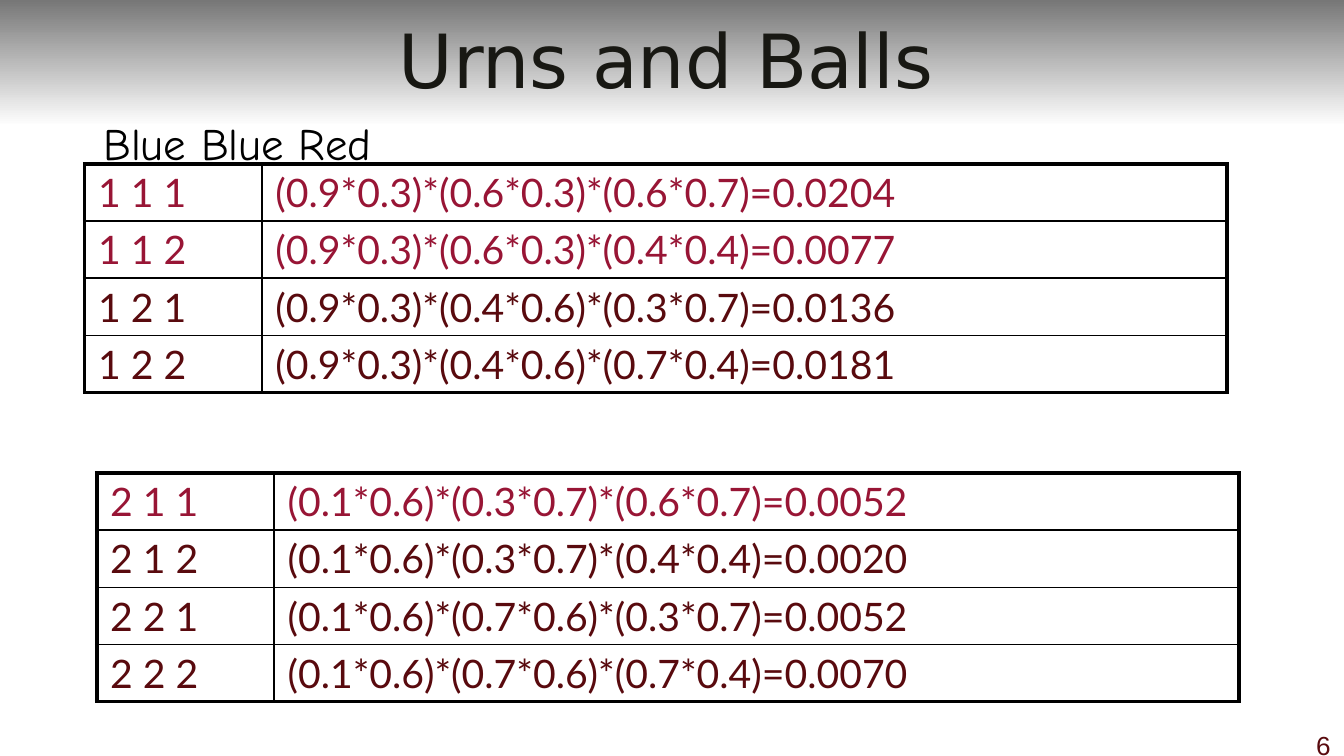
import lxml.etree
import pptx
import pptx.dml.color
import pptx.enum.shapes
import pptx.enum.text
import pptx.oxml.ns
import pptx.util

Inches = pptx.util.Inches
Pt = pptx.util.Pt
PP_ALIGN = pptx.enum.text.PP_ALIGN
ANCHOR = pptx.enum.text.MSO_ANCHOR
qn = pptx.oxml.ns.qn

COLORS = {
    "band": "777777",
    "white": "FFFFFF",
    "title": "181813",
    "black": "000000",
    "crimson": "981535",
    "maroon": "590A0E",
}
THICK, THIN = 2.25, 1


def rgb(name):
    return pptx.dml.color.RGBColor.from_string(COLORS[name])


class SlideBuilder:
    def __init__(self, slide):
        self.s = slide

    def style(self, p, size, font, color):
        p.font.size = Pt(size)
        p.font.name = font
        p.font.color.rgb = rgb(color)

    def band(self, x, y, w, h, top, bottom):
        sp = self.s.shapes.add_shape(
            pptx.enum.shapes.MSO_SHAPE.RECTANGLE,
            Inches(x), Inches(y), Inches(w), Inches(h))
        sp.shadow.inherit = False
        sp.line.fill.background()
        sp.fill.gradient()
        sp.fill.gradient_angle = 270
        for stop, color in zip(sp.fill.gradient_stops, (top, bottom)):
            stop.color.rgb = rgb(color)

    def text(self, x, y, w, h, text, size, font, color,
             align=PP_ALIGN.LEFT, anchor=ANCHOR.TOP, wrap=True):
        sp = self.s.shapes.add_textbox(Inches(x), Inches(y), Inches(w), Inches(h))
        tf = sp.text_frame
        tf.word_wrap = wrap
        tf.vertical_anchor = anchor
        p = tf.paragraphs[0]
        p.text = text
        p.alignment = align
        self.style(p, size, font, color)

    def borders(self, cell, widths):
        tcPr = cell._tc.get_or_add_tcPr()
        for side, width in widths.items():
            ln = lxml.etree.SubElement(tcPr, qn(f"a:ln{side}"), w=str(Pt(width)))
            fill = lxml.etree.SubElement(ln, qn("a:solidFill"))
            lxml.etree.SubElement(fill, qn("a:srgbClr"), val=COLORS["black"])

    def table(self, x, y, col_widths, height, rows):
        n, m = len(rows), len(col_widths)
        table = self.s.shapes.add_table(
            n, m, Inches(x), Inches(y),
            Inches(sum(col_widths)), Inches(height)).table
        table.first_row = table.horz_banding = False
        for column, width in zip(table.columns, col_widths):
            column.width = Inches(width)
        for i, (color, *values) in enumerate(rows):
            table.rows[i].height = Inches(height / n)
            for j, value in enumerate(values):
                cell = table.cell(i, j)
                cell.margin_top = cell.margin_bottom = Pt(2.7)
                p = cell.text_frame.paragraphs[0]
                p.text = value
                self.style(p, 21, "Lato", color)
                # Thick outer frame, thin inner lines
                self.borders(cell, {
                    "L": THICK if j == 0 else THIN,
                    "R": THICK if j == m - 1 else THIN,
                    "T": THICK if i == 0 else THIN,
                    "B": THICK if i == n - 1 else THIN,
                })
                cell.fill.background()


def main():
    prs = pptx.Presentation()
    # Widescreen 16:9
    prs.slide_width = Inches(10)
    prs.slide_height = Inches(10 * 9 / 16)
    slide = SlideBuilder(prs.slides.add_slide(prs.slide_layouts[6]))

    # Header band, slide number and title
    slide.band(0, 0, 10, 0.94, "band", "white")
    slide.text(9.5, 5.38, 0.5, 0.25, "6", 14, "Arial", "maroon", PP_ALIGN.RIGHT)
    slide.text(0.08, 0, 9.75, 0.88, "Urns and Balls", 40, "DejaVu Sans", "title",
               PP_ALIGN.CENTER, ANCHOR.MIDDLE)

    # Urn sequences starting with urn 1, then with urn 2
    columns = (1.32, 7.18)
    slide.table(0.63, 1.22, columns, 1.7, [
        ("crimson", "1 1 1", "(0.9*0.3)*(0.6*0.3)*(0.6*0.7)=0.0204"),
        ("crimson", "1 1 2", "(0.9*0.3)*(0.6*0.3)*(0.4*0.4)=0.0077"),
        ("maroon", "1 2 1", "(0.9*0.3)*(0.4*0.6)*(0.3*0.7)=0.0136"),
        ("maroon", "1 2 2", "(0.9*0.3)*(0.4*0.6)*(0.7*0.4)=0.0181"),
    ])
    slide.table(0.72, 3.52, columns, 1.7, [
        ("crimson", "2 1 1", "(0.1*0.6)*(0.3*0.7)*(0.6*0.7)=0.0052"),
        ("maroon", "2 1 2", "(0.1*0.6)*(0.3*0.7)*(0.4*0.4)=0.0020"),
        ("maroon", "2 2 1", "(0.1*0.6)*(0.7*0.6)*(0.3*0.7)=0.0052"),
        ("maroon", "2 2 2", "(0.1*0.6)*(0.7*0.6)*(0.7*0.4)=0.0070"),
    ])

    # Observed ball colours
    slide.text(0.67, 0.81, 2.32, 0.5, "Blue Blue Red", 24, "Comic Neue", "black",
               wrap=False)

    prs.save("out.pptx")


if __name__ == "__main__":
    main()
